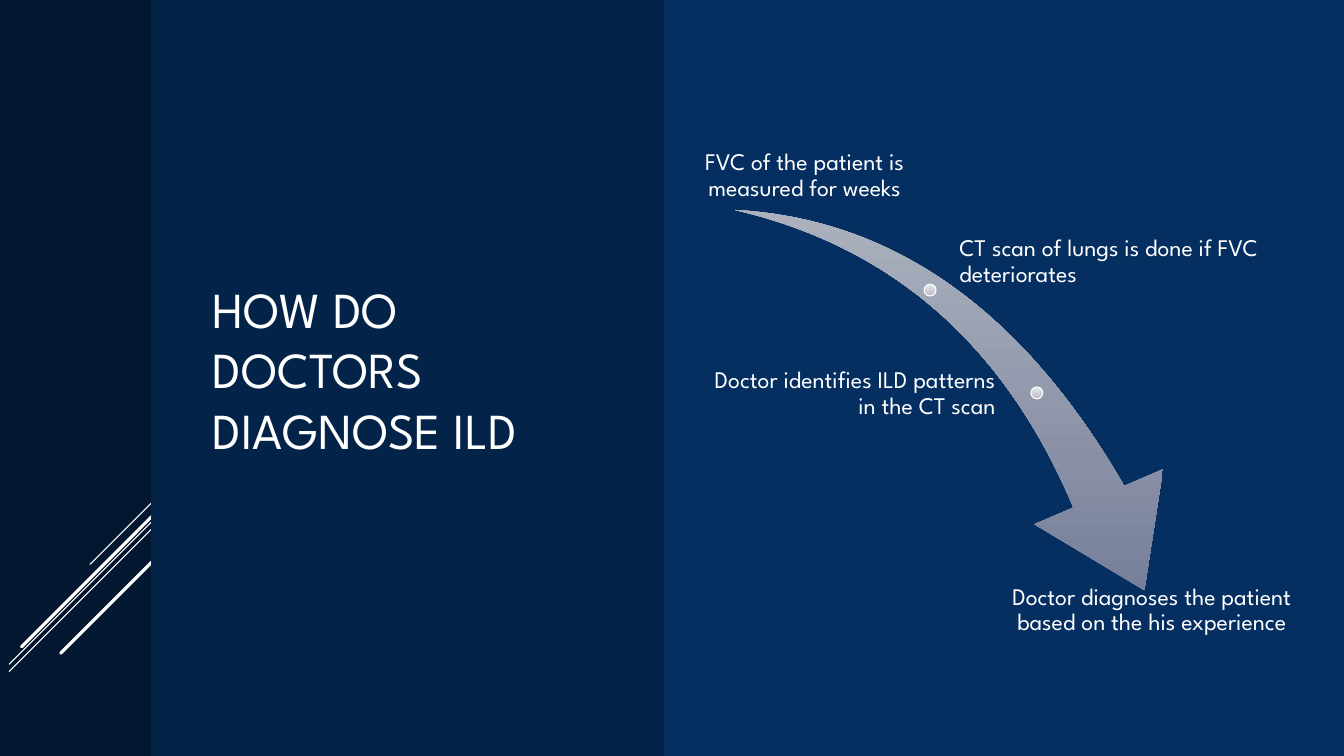
from dataclasses import dataclass

from lxml.etree import SubElement
from pptx import Presentation
from pptx.dml.color import RGBColor
from pptx.enum.shapes import MSO_CONNECTOR, MSO_SHAPE
from pptx.enum.text import MSO_ANCHOR, PP_ALIGN
from pptx.oxml.ns import qn
from pptx.util import Cm, Pt

WIDTH, HEIGHT = 33.87, 19.05  # all lengths in cm

TITLE = ("HOW DO DOCTORS DIAGNOSE ILD", (5.11, 1.91, 10.29, 14.76))

LABEL_HEIGHT = 2.26
# text, left, top, width, alignment, anchor
STEPS = [
    ("FVC of the patient is measured for weeks",
     17.42, 2.87, 5.72, PP_ALIGN.CENTER, MSO_ANCHOR.BOTTOM),
    ("CT scan of lungs is done if FVC deteriorates",
     24.13, 5.46, 8.64, PP_ALIGN.LEFT, MSO_ANCHOR.MIDDLE),
    ("Doctor identifies ILD patterns in the CT scan",
     17.42, 8.79, 7.72, PP_ALIGN.RIGHT, MSO_ANCHOR.MIDDLE),
    ("Doctor diagnoses the patient based on the his experience",
     25.17, 14.68, 7.72, PP_ALIGN.CENTER, MSO_ANCHOR.TOP),
]

ARROW = (18.24, 5.66, 12.14, 8.46)
ARROW_TURN = 73.3
ARROW_ADJUSTMENTS = (0.163, 0.314)
DOT_SIZE = 0.3
DOTS = [(23.29, 7.16), (25.98, 9.75)]

# Diagonal strokes run down-left at 45 degrees from one shared right edge
STROKE_RIGHT = 4.17
THIN, THICK = 0.75, 2.25
# top, run, weight
STROKES = [
    (12.32, 1.9, THIN),
    (12.8, 3.94, THIN),
    (12.98, 3.94, THIN),
    (12.67, 3.63, THICK),
    (13.82, 2.64, THICK),
]


@dataclass(frozen=True)
class Theme:
    font: str = "League Spartan"
    title_size: int = 36
    label_size: int = 17
    white: str = "FFFFFF"
    background: str = "146194"
    page: str = "052F61"
    strip: str = "031730"
    title_panel: str = "042349"
    arrow: tuple = ("B8BEC6", "6C7493")
    dot: tuple = ("E6E8EA", "B9BCC7")


theme = Theme()


def color(code):
    return RGBColor.from_string(code)


def add_shape(page, kind, area):
    shape = page.shapes.add_shape(kind, *map(Cm, area))
    shape.shadow.inherit = False
    shape.line.fill.background()
    return shape


def add_panel(page, left, width, code):
    panel = add_shape(page, MSO_SHAPE.RECTANGLE, (left, 0, width, HEIGHT))
    panel.fill.solid()
    panel.fill.fore_color.rgb = color(code)


def fill_downward(shape, codes):
    """Gradient from top to bottom of the page, whatever the shape's turn."""
    shape.fill.gradient()
    shape.fill.gradient_angle = 270
    for stop, code in zip(shape.fill.gradient_stops, codes):
        stop.color.rgb = color(code)
    shape._element.spPr.find(qn("a:gradFill")).set("rotWithShape", "0")


def add_stroke(page, top, run, weight):
    stroke = page.shapes.add_connector(
        MSO_CONNECTOR.STRAIGHT, Cm(STROKE_RIGHT), Cm(top),
        Cm(STROKE_RIGHT - run), Cm(top + run))
    stroke.line.color.rgb = color(theme.white)
    stroke.line.width = Pt(weight)
    properties = stroke._element.spPr
    properties.find(qn("a:ln")).set("cap", "rnd")
    SubElement(properties, qn("a:effectLst"))


def add_text(page, text, area, size, anchor):
    box = page.shapes.add_textbox(*map(Cm, area))
    frame = box.text_frame
    frame.word_wrap = True
    frame.vertical_anchor = anchor
    para = frame.paragraphs[0]
    span = para.add_run()
    span.text = text
    span.font.name = theme.font
    span.font.size = Pt(size)
    span.font.color.rgb = color(theme.white)
    return frame, para


def add_step(page, text, left, top, width, alignment, anchor):
    frame, para = add_text(page, text, (left, top, width, LABEL_HEIGHT),
                           theme.label_size, anchor)
    frame.margin_left = frame.margin_right = Cm(0.05)
    frame.margin_top = frame.margin_bottom = Cm(0.05)
    para.alignment = alignment
    para.line_spacing = 0.9
    para.space_after = Pt(6)


def add_process(page):
    arrow = add_shape(page, MSO_SHAPE.SWOOSH_ARROW, ARROW)
    arrow.rotation = ARROW_TURN
    for index, value in enumerate(ARROW_ADJUSTMENTS):
        arrow.adjustments[index] = value
    fill_downward(arrow, theme.arrow)

    for left, top in DOTS:
        dot = add_shape(page, MSO_SHAPE.OVAL, (left, top, DOT_SIZE, DOT_SIZE))
        fill_downward(dot, theme.dot)
        dot.line.color.rgb = color(theme.white)
        dot.line.width = Pt(THIN)

    for step in STEPS:
        add_step(page, *step)


def main():
    deck = Presentation()
    deck.slide_width, deck.slide_height = Cm(WIDTH), Cm(HEIGHT)
    page = deck.slides.add_slide(deck.slide_layouts[6])
    page.background.fill.solid()
    page.background.fill.fore_color.rgb = color(theme.background)

    add_panel(page, 0, WIDTH, theme.page)
    add_panel(page, 0, 3.99, theme.strip)
    for stroke in STROKES:
        add_stroke(page, *stroke)
    add_panel(page, 3.81, 12.93, theme.title_panel)

    text, area = TITLE
    add_text(page, text, area, theme.title_size, MSO_ANCHOR.MIDDLE)
    add_process(page)
    deck.save("out.pptx")


if __name__ == "__main__":
    main()
